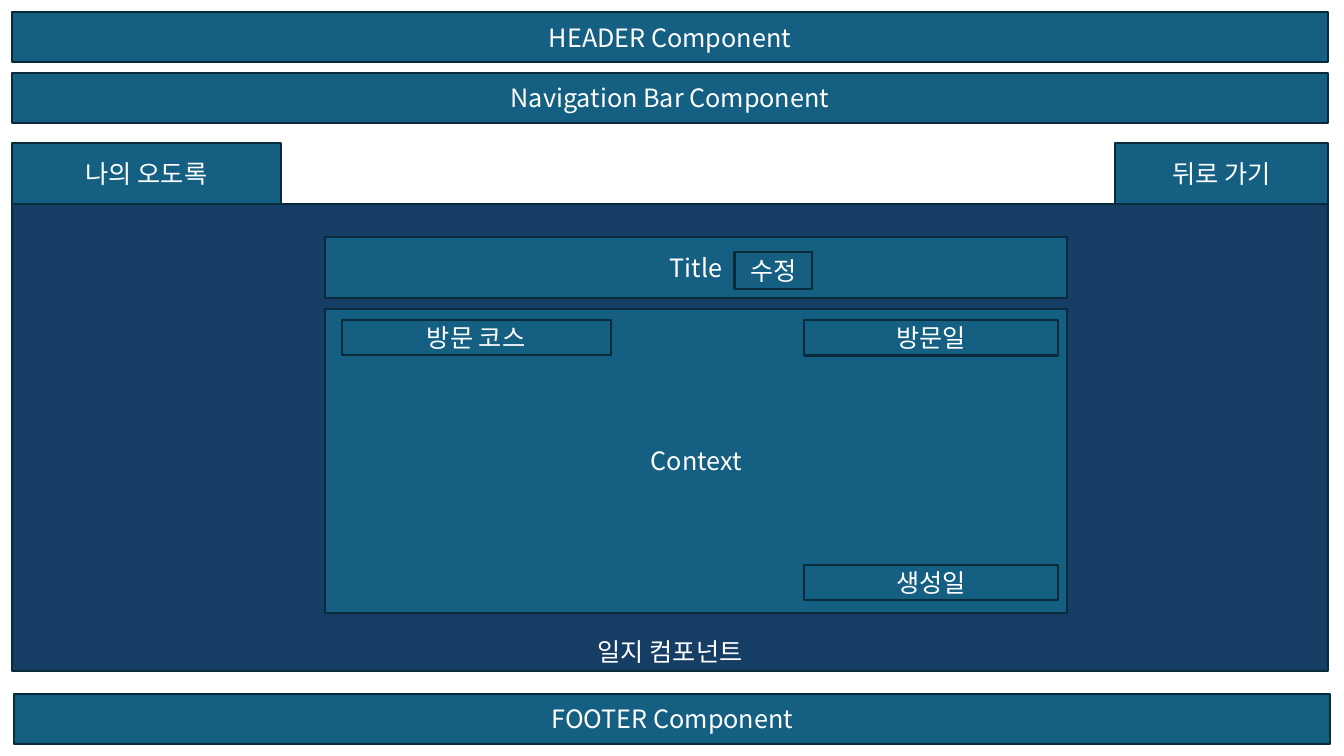
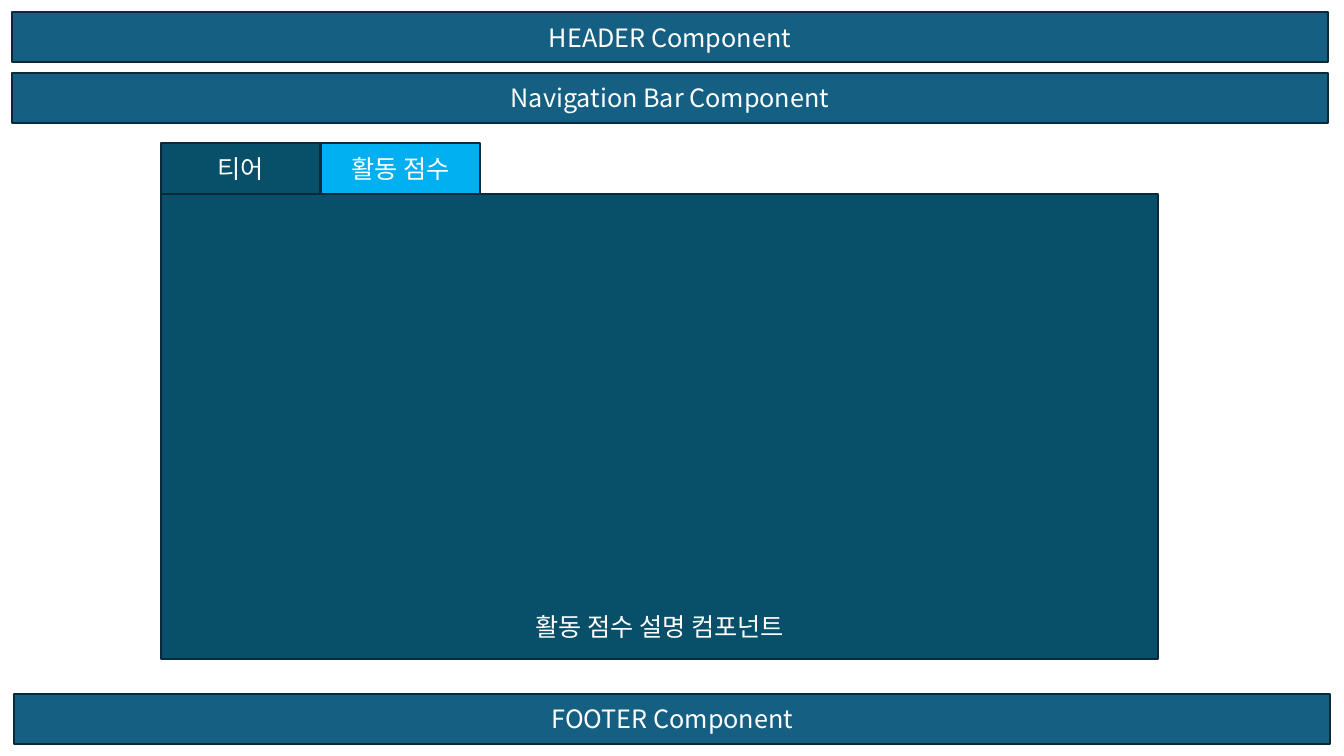
from dataclasses import dataclass

from lxml import etree
from pptx import Presentation
from pptx import util as u
from pptx.dml.color import RGBColor
from pptx.enum import shapes, text
from pptx.oxml.ns import qn


@dataclass(frozen=True)
class Theme:
    font: str = "Noto Sans CJK KR"
    size: int = 18
    line_width: float = 1.5
    ink: str = "FFFFFF"
    outline: str = "092A39"
    block: str = "156082"
    journal: str = "163E64"
    score: str = "084F6A"
    active: str = "00B0F0"


@dataclass(frozen=True)
class Box:
    """A rectangle in centimetres."""
    left: float
    top: float
    width: float
    height: float

    def inside(self, left, top, width, height):
        return Box(self.left + left, self.top + top, width, height)

    def above(self, width, height, offset=0):
        return self.inside(offset, -height, width, height)


THEME = Theme()
PAGE_WIDTH, PAGE_HEIGHT = 33.87, 19.05
BAND_WIDTH, BAND_HEIGHT = 33.17, 1.27
BANDS = [
    ("HEADER Component", 0.3, 0.3),
    ("Navigation Bar Component", 0.3, 1.83),
    ("FOOTER Component", 0.36, 17.48),
]


def write(frame, words, *, size=THEME.size, color=THEME.ink,
          anchor=text.MSO_ANCHOR.MIDDLE, bottom=0.13):
    frame.word_wrap = True
    frame.vertical_anchor = anchor
    frame.margin_bottom = u.Cm(bottom)
    para = frame.paragraphs[0]
    para.alignment = text.PP_ALIGN.CENTER
    span = para.add_run()
    span.text = words
    span.font.size = u.Pt(size)
    span.font.color.rgb = RGBColor.from_string(color)
    span.font.name = THEME.font
    # Hangul takes the East Asian typeface
    east_asian = etree.SubElement(span.font._element, qn("a:ea"))
    east_asian.set("typeface", THEME.font)


def add_block(page, box, words, fill=THEME.block, **style):
    shape = page.shapes.add_shape(
        shapes.MSO_SHAPE.RECTANGLE,
        u.Cm(box.left), u.Cm(box.top), u.Cm(box.width), u.Cm(box.height))
    shape.shadow.inherit = False
    shape.fill.solid()
    shape.fill.fore_color.rgb = RGBColor.from_string(fill)
    shape.line.color.rgb = RGBColor.from_string(THEME.outline)
    shape.line.width = u.Pt(THEME.line_width)
    write(shape.text_frame, words, **style)


def add_panel(page, box, caption, fill, bottom):
    add_block(page, box, caption, fill,
              anchor=text.MSO_ANCHOR.BOTTOM, bottom=bottom)


def add_page(deck):
    page = deck.slides.add_slide(deck.slide_layouts[6])
    for words, left, top in BANDS:
        add_block(page, Box(left, top, BAND_WIDTH, BAND_HEIGHT), words)
    return page


def add_entry(page, box):
    # Title row with its edit button
    title = Box(box.left, box.top, box.width, 1.52)
    add_block(page, title, "Title")
    add_block(page, title.inside(10.31, 0.36, 1.96, 0.94), "수정")

    # Body with its labels
    body = box.inside(0, 1.8, box.width, box.height - 1.8)
    add_block(page, body, "Context")
    add_block(page, body.inside(0.41, 0.28, 6.78, 0.89), "방문 코스")
    for words, top in (("방문일", 0.28), ("생성일", 6.45)):
        add_block(page, body.inside(12.07, top, 6.4, 0.9), words)


def journal_page(deck, box):
    page = add_page(deck)
    add_panel(page, box, "일지 컴포넌트", THEME.journal, bottom=0.1)

    # Buttons on the panel's upper edge
    add_block(page, box.above(6.78, 1.54), "나의 오도록")
    add_block(page, box.above(5.38, 1.54, box.width - 5.38), "뒤로 가기")

    add_entry(page, box.inside(7.9, 0.84, 18.69, 9.47))


def score_page(deck, box):
    page = add_page(deck)
    add_panel(page, box, "활동 점수 설명 컴포넌트", THEME.score, bottom=0.45)

    # Tabs on the panel's upper edge
    tab_width = 4.02
    tabs = (("티어", THEME.score), ("활동 점수", THEME.active))
    for index, (words, fill) in enumerate(tabs):
        tab = box.above(tab_width, BAND_HEIGHT, index * tab_width)
        add_block(page, tab, words, fill)


def main():
    deck = Presentation()
    deck.slide_width = u.Cm(PAGE_WIDTH)
    deck.slide_height = u.Cm(PAGE_HEIGHT)
    journal_page(deck, Box(0.3, 5.14, BAND_WIDTH, 11.76))
    score_page(deck, Box(4.06, 4.88, 25.12, 11.73))
    deck.save("out.pptx")


if __name__ == "__main__":
    main()
